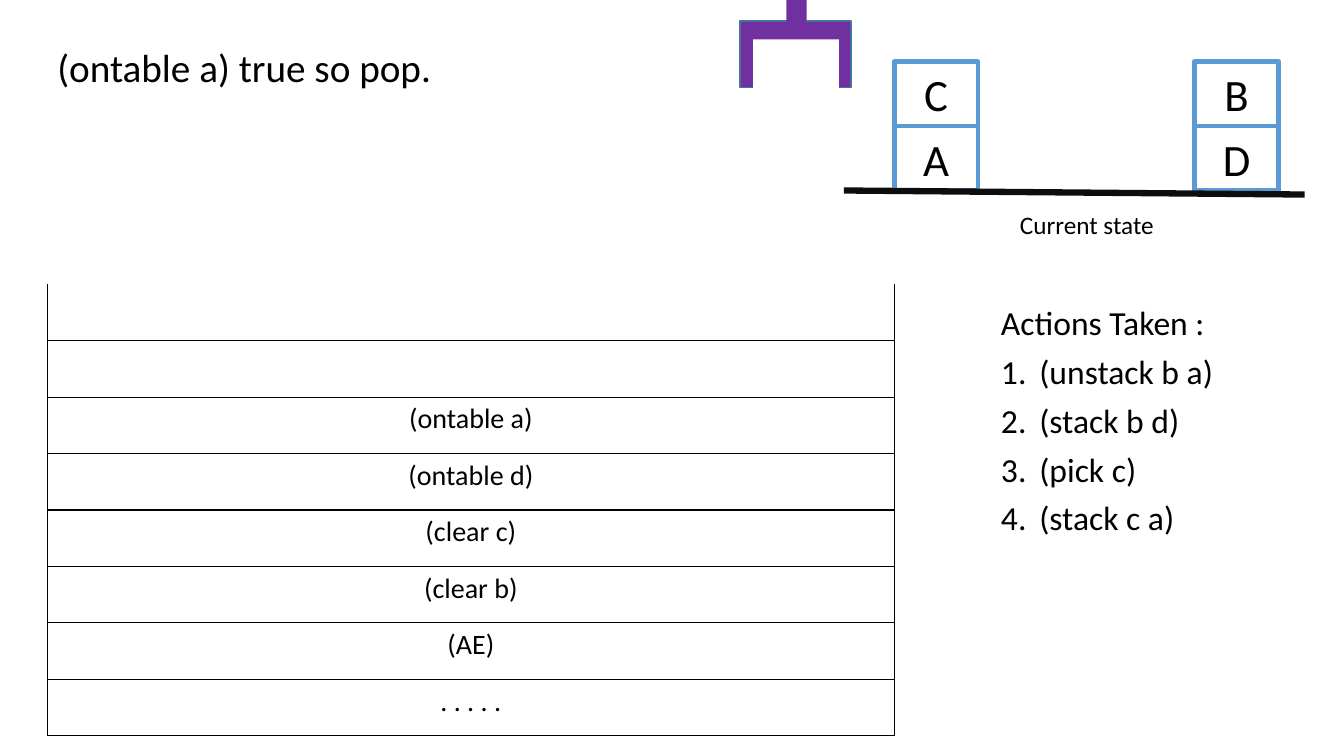
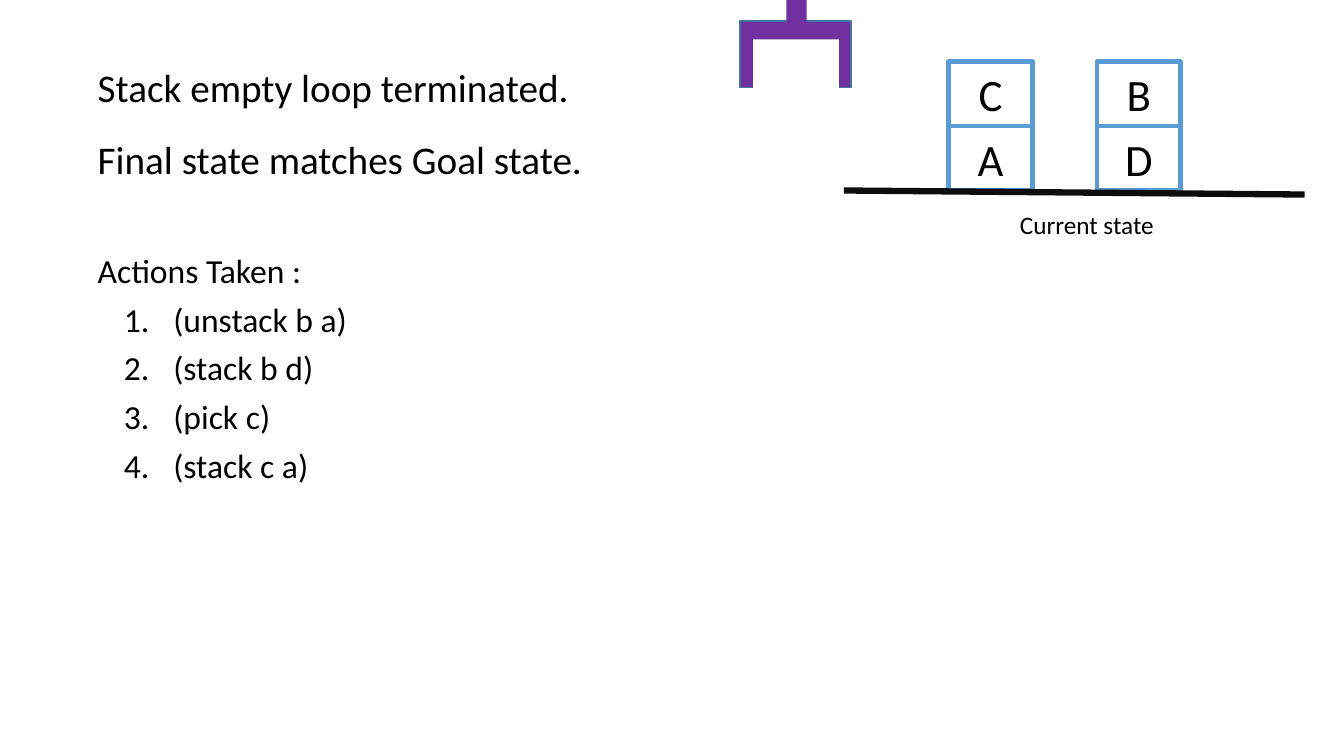
from dataclasses import dataclass

from lxml.etree import SubElement
from pptx import Presentation
from pptx.dml.color import RGBColor as Color
from pptx.enum.shapes import MSO_CONNECTOR as Connector, MSO_SHAPE as Preset
from pptx.enum.text import MSO_ANCHOR as Anchor, PP_ALIGN as Align
from pptx.oxml.ns import qn
from pptx.util import Inches, Pt


@dataclass(frozen=True)
class Theme:
    """Colours, font and type sizes shared by all slides."""
    font: str = "Calibri"
    ink: str = "000000"
    paper: str = "FFFFFF"
    gripper: str = "7030A0"
    gripper_edge: str = "43739E"
    block_edge: str = "5B9BD5"
    ground: str = "0D0D0D"
    block_size: int = 32
    title_size: int = 28
    action_size: int = 24
    stack_size: int = 20
    caption_size: int = 18


ACTIONS = ["(unstack b a)", "(stack b d)", "(pick c)", "(stack c a)"]
GOALS = ["", "", "(ontable a)", "(ontable d)", "(clear c)", "(clear b)",
         "(AE)", ". . . . ."]
BLOCK_WIDTH, BLOCK_HEIGHT, BLOCK_TOP = 0.83, 0.64, 0.61
ROW_HEIGHT = 0.56


class Painter:
    """Draws planning elements on the current slide in one style."""

    def __init__(self, deck, theme):
        """Keep the deck and its theme."""
        self.deck, self.theme, self.page = deck, theme, None

    def new_page(self):
        """Start a blank slide."""
        self.page = self.deck.slides.add_slide(self.deck.slide_layouts[6])

    def set_text(self, para, text, size, align=Align.LEFT):
        """Fill a paragraph and format its runs."""
        para.text, para.alignment = text, align
        for span in para.runs:
            span.font.name = self.theme.font
            span.font.size = Pt(size)
            span.font.color.rgb = Color.from_string(self.theme.ink)

    def rect(self, shapes, place, fill=None, edge=None, weight=1):
        """Add a rectangle with an optional fill and outline."""
        box = shapes.add_shape(Preset.RECTANGLE, *map(Inches, place))
        box.shadow.inherit = False
        for paint, colour in ((box.fill, fill), (box.line.fill, edge)):
            if colour:
                paint.solid()
                paint.fore_color.rgb = Color.from_string(colour)
            else:
                paint.background()
        if edge:
            box.line.width = Pt(weight)
        return box

    def gripper(self):
        """Draw the robot hand as a group."""
        theme = self.theme
        shapes = self.page.shapes.add_group_shape().shapes
        self.rect(shapes, (7.34, 0.21, 1.1, 0.66), theme.gripper,
                  theme.gripper_edge)
        self.rect(shapes, (7.47, 0.39, 0.85, 0.64), theme.paper)
        self.rect(shapes, (7.8, -0.4, 0.2, 0.63), theme.gripper)

    def tower(self, left, names):
        """Pile up named blocks, listed from top to bottom."""
        for level, name in enumerate(names):
            place = (left, BLOCK_TOP + level * BLOCK_HEIGHT,
                     BLOCK_WIDTH, BLOCK_HEIGHT)
            box = self.rect(self.page.shapes, place,
                            edge=self.theme.block_edge, weight=3.25)
            box.text_frame.vertical_anchor = Anchor.MIDDLE
            self.set_text(box.text_frame.paragraphs[0], name,
                          self.theme.block_size, Align.CENTER)

    def ground(self):
        """Draw the table surface under the blocks."""
        line = self.page.shapes.add_connector(
            Connector.STRAIGHT, *map(Inches, (8.37, 1.89, 12.94, 1.93)))
        line.line.color.rgb = Color.from_string(self.theme.ground)
        line.line.width = Pt(4.5)
        SubElement(line._element.spPr, qn("a:effectLst"))

    def text(self, place, text, size, align=Align.LEFT):
        """Add a wrapped text box and return its frame."""
        frame = self.page.shapes.add_textbox(*map(Inches, place)).text_frame
        frame.word_wrap = True
        self.set_text(frame.paragraphs[0], text, size, align)
        return frame

    def title(self, left, top, text):
        """Add a headline sentence."""
        self.text((left, top, 6.61, 0.57), text, self.theme.title_size)

    def state(self, left_tower, right_tower):
        """Show the hand, both towers, the ground and the caption."""
        self.gripper()
        self.tower(left_tower, "CA")
        self.tower(right_tower, "BD")
        self.ground()
        self.text((9.31, 2.03, 2.94, 0.4), "Current state",
                  self.theme.caption_size, Align.CENTER)

    def actions(self, place, indent, hanging):
        """List the actions taken as numbered paragraphs."""
        size = self.theme.action_size
        frame = self.text(place, "Actions Taken :", size)
        frame.paragraphs[0].space_after = Pt(6)
        for action in ACTIONS:
            para = frame.add_paragraph()
            self.set_text(para, action, size)
            para.space_after = Pt(6)
            props = para._p.get_or_add_pPr()
            props.set("marL", str(Inches(indent)))
            props.set("indent", str(-Inches(hanging)))
            SubElement(props, qn("a:buAutoNum"), type="arabicPeriod")

    def border(self, cell, side, visible=True):
        """Draw or hide one side of a cell."""
        line = SubElement(cell._tc.get_or_add_tcPr(), qn("a:ln" + side),
                          w=str(Pt(1)))
        if visible:
            fill = SubElement(line, qn("a:solidFill"))
            SubElement(fill, qn("a:srgbClr"), val=self.theme.ink)
        else:
            SubElement(line, qn("a:noFill"))

    def goal_stack(self, left, top, width):
        """Draw the goal stack as a table that is open at the top."""
        table = self.page.shapes.add_table(
            len(GOALS), 1, Inches(left), Inches(top), Inches(width),
            Inches(ROW_HEIGHT * len(GOALS))).table
        table.first_row = table.horz_banding = False
        for index, goal in enumerate(GOALS):
            table.rows[index].height = Inches(ROW_HEIGHT)
            cell = table.cell(index, 0)
            for side in "LRTB":
                self.border(cell, side, visible=side != "T" or index > 0)
            cell.fill.background()
            if goal:
                self.set_text(cell.text_frame.paragraphs[0], goal,
                              self.theme.stack_size, Align.CENTER)


def pop_slide(painter):
    """Build the slide that pops a goal from the stack."""
    painter.new_page()
    painter.state(8.87, 11.85)
    painter.goal_stack(0.47, 2.82, 8.4)
    painter.actions((9.83, 2.95, 3.5, 3.92), 0.38, 0.38)
    painter.title(0.47, 0.38, "(ontable a) true so pop.")


def final_slide(painter):
    """Build the slide that shows the goal state."""
    painter.new_page()
    painter.state(9.41, 10.88)
    painter.actions((0.87, 2.43, 6.25, 3.92), 0.75, 0.49)
    painter.title(0.87, 0.58, "Stack empty loop terminated.")
    painter.title(0.87, 1.29, "Final state matches Goal state.")


def main():
    """Build and save the deck."""
    deck = Presentation()
    deck.slide_width, deck.slide_height = Inches(13.33), Inches(7.5)
    painter = Painter(deck, Theme())
    pop_slide(painter)
    final_slide(painter)
    deck.save("out.pptx")


main()
